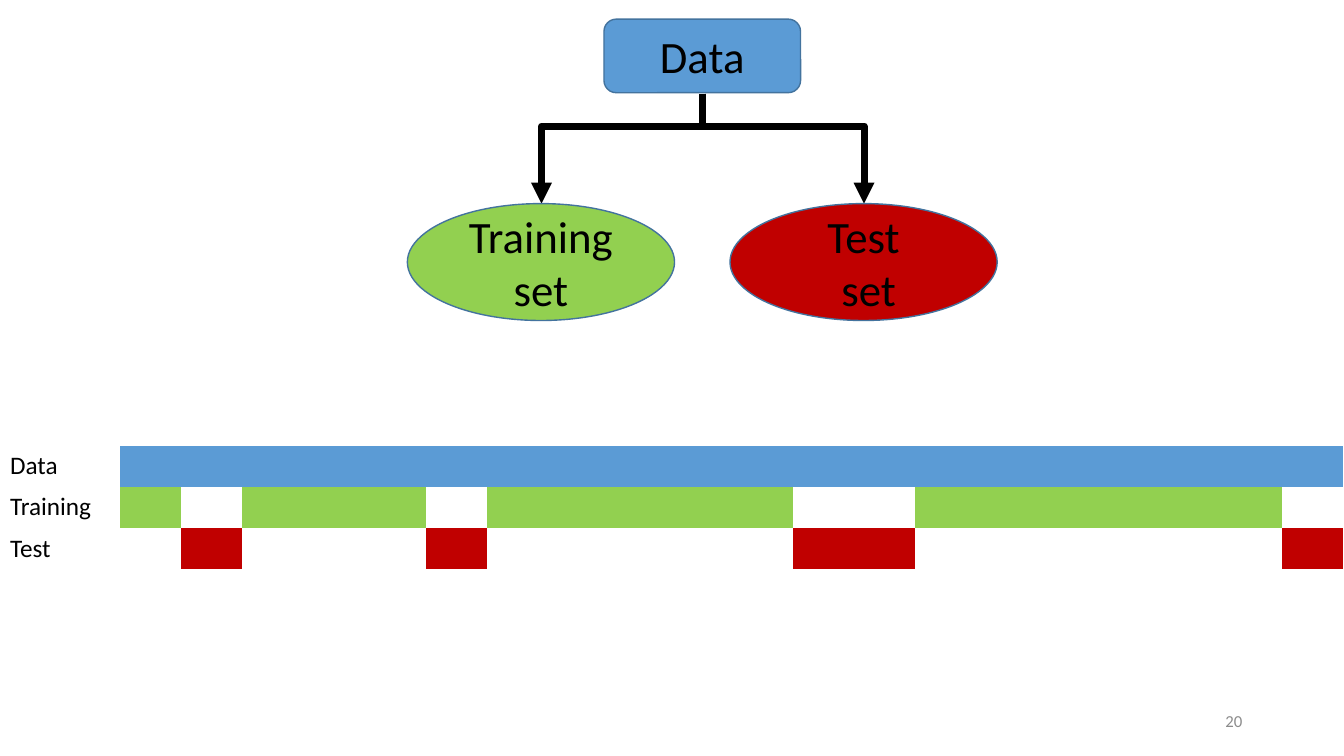
from lxml import etree
from pptx import Presentation
from pptx import util as u
from pptx.dml.color import RGBColor
from pptx.enum import shapes, text
from pptx.oxml import ns

FONT = "Calibri"
BLACK, GREY, WHITE = "000000", "8C8C8C", "FFFFFF"
BLUE, GREEN, RED, OUTLINE = "5B9BD5", "92D050", "C00000", "43739E"
PLAIN_TABLE = "{2D5ABB26-0587-4C30-8999-92F81FD0307C}"
SLIDE_W, SLIDE_H = 1333, 750


def px(length):
    return u.Emu(round(length * 9144))


def paint(color_format, color):
    color_format.rgb = RGBColor.from_string(color)


def fill_with(fill, color):
    if color:
        fill.solid()
        paint(fill.fore_color, color)
    else:
        fill.background()


def write(frame, words, size=18, color=BLACK, align=text.PP_ALIGN.LEFT):
    frame.word_wrap = True
    frame.text = words
    for paragraph in frame.paragraphs:
        paragraph.alignment = align
        for run in paragraph.runs:
            run.font.name = FONT
            run.font.size = u.Pt(size)
            paint(run.font.color, color)


def add_xml(parent, tag, **attributes):
    return etree.SubElement(parent, ns.qn(tag), attributes)


class SplitSlide:
    """Holds the style and the current slide of the data split."""

    def __init__(self, deck):
        self.shapes = deck.slides.add_slide(deck.slide_layouts[6]).shapes

    def label(self, words, x, y, w, h, **style):
        box = self.shapes.add_textbox(px(x), px(y), px(w), px(h))
        box.text_frame.vertical_anchor = text.MSO_ANCHOR.MIDDLE
        write(box.text_frame, words, **style)

    def node(self, kind, words, x, y, w, h, color):
        node = self.shapes.add_shape(kind, px(x), px(y), px(w), px(h))
        node.shadow.inherit = False
        fill_with(node.fill, color)
        paint(node.line.color, OUTLINE)
        node.line.width = u.Pt(1)
        node.text_frame.vertical_anchor = text.MSO_ANCHOR.MIDDLE
        write(node.text_frame, words, size=32, align=text.PP_ALIGN.CENTER)

    def branch(self, x1, y1, x2, y2, bend):
        center_x, center_y = (x1 + x2) / 2, (y1 + y2) / 2
        drop, reach = y2 - y1, abs(x2 - x1)
        left, right = center_x - drop / 2, center_x + drop / 2
        top, bottom = center_y - reach / 2, center_y + reach / 2
        to_right = x2 > x1
        start, end = (right, left) if to_right else (left, right)
        branch = self.shapes.add_connector(
            shapes.MSO_CONNECTOR.ELBOW, px(start), px(top), px(end), px(bottom))
        branch.line.width = u.Pt(5)
        paint(branch.line.color, BLACK)
        add_xml(branch.line._get_or_add_ln(), "a:tailEnd", type="triangle")
        properties = branch._element.spPr
        properties.find(ns.qn("a:xfrm")).set("rot", str((270 if to_right else 90) * 60000))
        guides = properties.find(ns.qn("a:prstGeom")).get_or_add_avLst()
        add_xml(guides, "a:gd", name="adj1", fmla=f"val {round(bend * 100000)}")
        add_xml(properties, "a:effectLst")

    def timeline(self, rows, x, y, label_w, step_w, row_h):
        steps = len(rows[0][1])
        frame = self.shapes.add_table(len(rows), steps + 1, px(x), px(y),
                                      px(label_w + steps * step_w), px(row_h * len(rows)))
        table = frame.table
        table.first_row = table.horz_banding = False
        table._tbl.tblPr.find(ns.qn("a:tableStyleId")).text = PLAIN_TABLE
        for index, column in enumerate(table.columns):
            column.width = px(step_w if index else label_w)
        for row_index, (name, colors) in enumerate(rows):
            table.rows[row_index].height = px(row_h)
            write(table.cell(row_index, 0).text_frame, name)
            for column_index, color in enumerate([None, *colors]):
                fill_with(table.cell(row_index, column_index).fill, color)


def main():
    deck = Presentation()
    deck.slide_width, deck.slide_height = px(SLIDE_W), px(SLIDE_H)
    slide = SplitSlide(deck)

    slide.label("20", 942, 695, 300, 40, size=12, color=GREY, align=text.PP_ALIGN.RIGHT)

    slide.node(shapes.MSO_SHAPE.ROUNDED_RECTANGLE, "Data", 599, 19, 195, 73, BLUE)
    subsets = [("Training set", 404, GREEN), ("Test\n set", 724, RED)]
    for words, left, color in subsets:
        slide.branch(697, 93, left + 133, 202, bend=0.294)
        slide.node(shapes.MSO_SHAPE.OVAL, words, left, 202, 265, 116, color)

    steps = range(1, 21)
    test_steps = {2, 6, 12, 13, 20}
    rows = [
        ("Data", [BLUE for step in steps]),
        ("Training", [None if step in test_steps else GREEN for step in steps]),
        ("Test", [RED if step in test_steps else None for step in steps]),
    ]
    label_w = 119
    slide.timeline(rows, 0, 442, label_w, (SLIDE_W - label_w) / len(steps), 41)

    deck.save("out.pptx")


if __name__ == "__main__":
    main()
